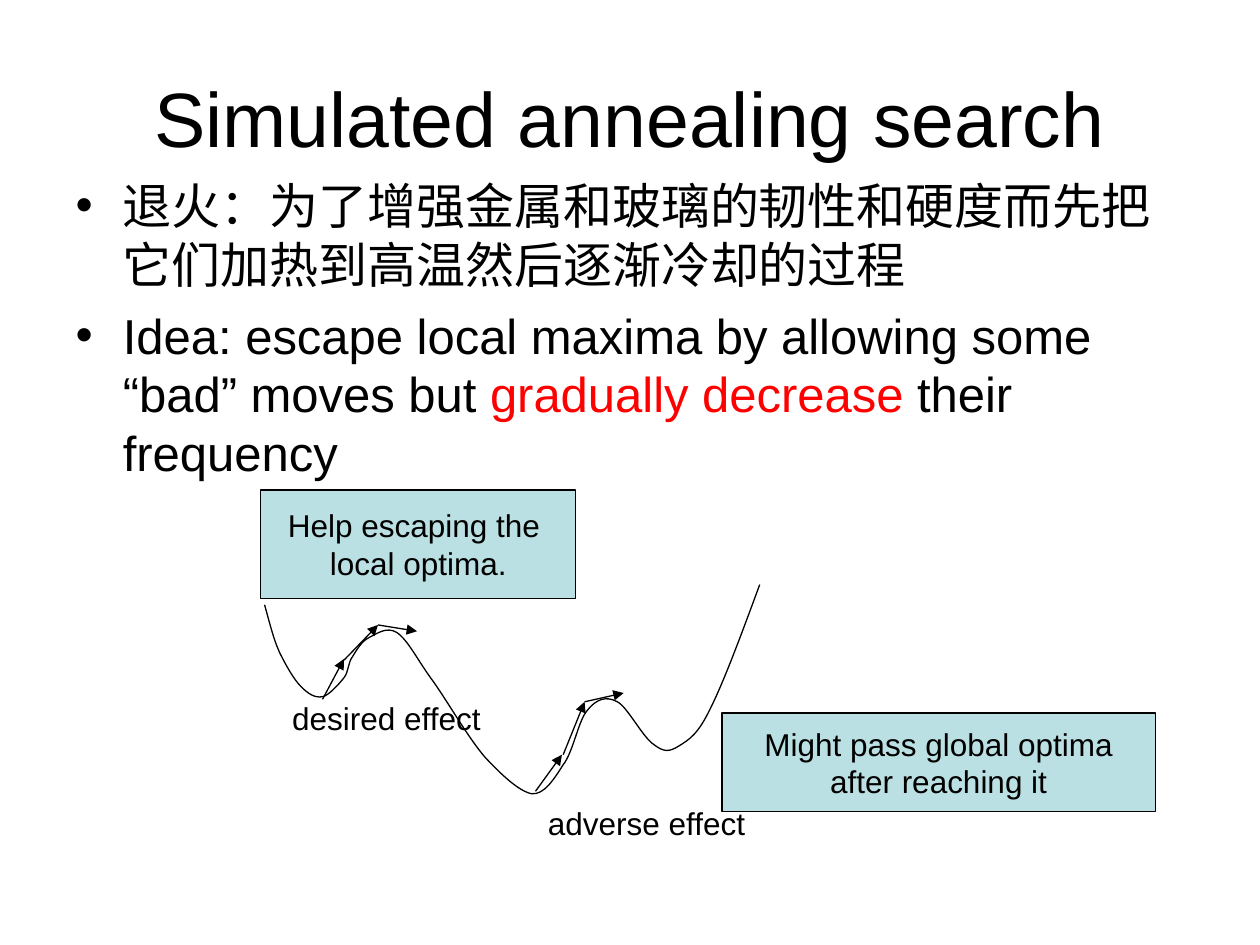
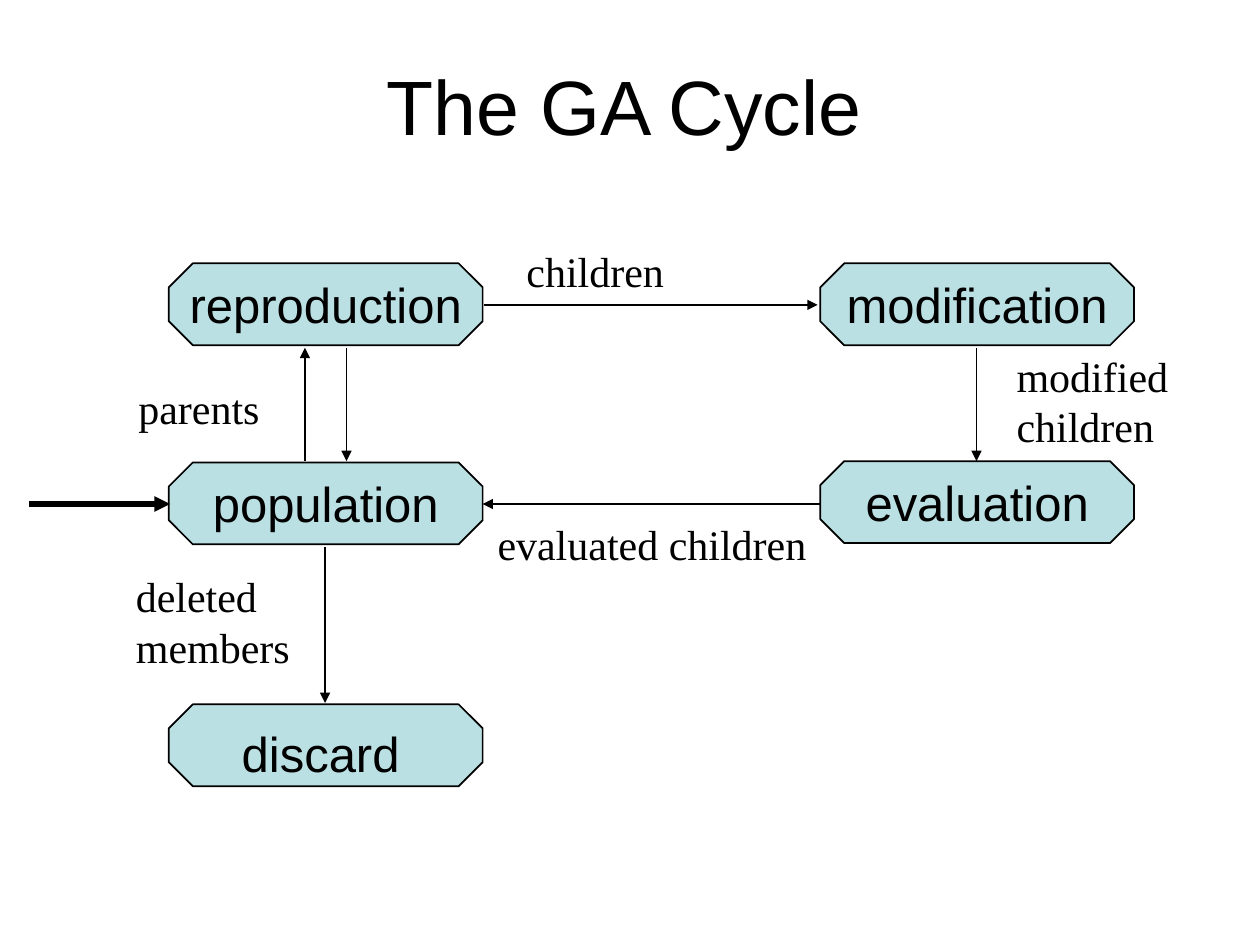
from pptx import Presentation
from pptx.dml.color import RGBColor
from pptx.enum.shapes import MSO_CONNECTOR, MSO_SHAPE
from pptx.enum.text import MSO_ANCHOR, PP_ALIGN
from pptx.oxml.ns import qn
from pptx.util import Emu, Pt
from lxml.etree import SubElement

PX = 9144  # EMU per px, 100 px to the inch
BLACK = RGBColor(0x00, 0x00, 0x00)
RED = RGBColor(0xFF, 0x00, 0x00)
PALE_TEAL = RGBColor(0xBB, 0xE0, 0xE3)

TITLE_FONT = {"name": "Arial", "size": Pt(44)}
LARGE_FONT = {"name": "Arial", "size": Pt(28)}
SMALL_FONT = {"name": "Arial", "size": Pt(18)}
FLOW_FONT = {"name": "Times New Roman", "size": Pt(24)}


def add_text(slide, rect, text, font_format, outline=None, line_width=1):
    """Add a plain label, or a filled box when an outline is given."""
    place = [Emu(v * PX) for v in rect]
    if outline is None:
        holder = slide.shapes.add_textbox(*place)
    else:
        holder = slide.shapes.add_shape(outline, *place)
        holder.shadow.inherit = False
        holder.fill.solid()
        holder.fill.fore_color.rgb = PALE_TEAL
        holder.line.color.rgb = BLACK
        holder.line.width = Pt(line_width)
        holder.text_frame.vertical_anchor = MSO_ANCHOR.MIDDLE
    holder.text_frame.word_wrap = False
    if text:
        holder.text_frame.text = text
    for paragraph in holder.text_frame.paragraphs:
        paragraph.alignment = PP_ALIGN.LEFT if outline is None else PP_ALIGN.CENTER
        paragraph.font.color.rgb = BLACK
        for attribute, value in font_format.items():
            setattr(paragraph.font, attribute, value)
    return holder


def add_arrow(slide, ends, width):
    """Add an arrow pointing at the second end."""
    arrow = slide.shapes.add_connector(MSO_CONNECTOR.STRAIGHT, *[Emu(v * PX) for v in ends])
    arrow.line.color.rgb = BLACK
    arrow.line.width = Pt(width)
    properties = arrow.element.spPr
    SubElement(properties.find(qn("a:ln")), qn("a:tailEnd"), type="triangle")
    SubElement(properties, qn("a:effectLst"))


deck = Presentation()
deck.slide_width, deck.slide_height = Emu(1000 * PX), Emu(750 * PX)
annealing = deck.slides.add_slide(deck.slide_layouts[1])
cycle = deck.slides.add_slide(deck.slide_layouts[5])

# Titles
for slide, heading, rect in [
    (annealing, "Simulated annealing search", (50, 30, 900, 125)),
    (cycle, "The GA Cycle", (42, 25, 907, 116)),
]:
    title = slide.shapes.title
    title.left, title.top, title.width, title.height = [Emu(v * PX) for v in rect]
    title.text_frame.text = heading
    title_font = title.text_frame.paragraphs[0].font
    title_font.color.rgb = BLACK
    for attribute, value in TITLE_FONT.items():
        setattr(title_font, attribute, value)

# Annealing: bullet list
ideas = annealing.placeholders[1]
ideas.left, ideas.top, ideas.width, ideas.height = [Emu(v * PX) for v in (50, 134, 900, 495)]
bullets = [
    [("退火：为了增强金属和玻璃的韧性和硬度而先把它们加热到高温然后逐渐冷却的过程", BLACK)],
    [
        ("Idea: escape local maxima by allowing some “bad” moves but ", BLACK),
        ("gradually decrease", RED),
        (" their frequency", BLACK),
    ],
]
for index, pieces in enumerate(bullets):
    bullet = ideas.text_frame.paragraphs[0] if index == 0 else ideas.text_frame.add_paragraph()
    bullet.space_before = Pt(7 if index else 0)
    for words, colour in pieces:
        run = bullet.add_run()
        run.text = words
        run.font.color.rgb = colour
        for attribute, value in LARGE_FONT.items():
            setattr(run.font, attribute, value)

# Annealing: landscape curve, each row two control points and an end point
landscape_start = (210, 480)
landscape_bends = [
    ((214, 494), (217, 507), (222, 518)),
    ((227, 528), (233, 539), (239, 545)),
    ((245, 551), (250, 554), (256, 553)),
    ((261, 552), (269, 543), (273, 538)),
    ((277, 533), (276, 526), (280, 521)),
    ((283, 516), (287, 509), (293, 506)),
    ((299, 503), (307, 497), (315, 502)),
    ((324, 508), (332, 525), (344, 541)),
    ((356, 558), (372, 586), (385, 601)),
    ((398, 615), (412, 628), (422, 630)),
    ((432, 631), (440, 618), (447, 607)),
    ((455, 597), (459, 572), (466, 564)),
    ((473, 555), (481, 552), (490, 557)),
    ((498, 561), (510, 585), (519, 591)),
    ((527, 597), (531, 597), (539, 592)),
    ((547, 587), (554, 583), (564, 562)),
    ((575, 540), (589, 502), (603, 464)),
]
outline_builder = annealing.shapes.build_freeform(*landscape_start, scale=PX)
outline_builder.add_line_segments([point for bend in landscape_bends for point in bend], close=False)
landscape = outline_builder.convert_to_shape()
landscape.shadow.inherit = False
landscape.fill.background()
landscape.line.color.rgb = BLACK
landscape.line.width = Pt(0.75)

# Turn every three straight steps into one Bézier bend
curve_path = next(landscape.element.iter(qn("a:path")))
straight_steps = curve_path.findall(qn("a:lnTo"))
for first in range(0, len(straight_steps), 3):
    bend = SubElement(curve_path, qn("a:cubicBezTo"))
    for straight_step in straight_steps[first:first + 3]:
        bend.append(straight_step[0])
        curve_path.remove(straight_step)

# Annealing: moves over the two hills
for move in [
    (256, 555, 273, 523),
    (273, 524, 300, 496),
    (300, 496, 331, 501),
    (425, 628, 446, 599),
    (447, 599, 464, 557),
    (464, 557, 495, 550),
]:
    add_arrow(annealing, move, 0.75)

# Annealing: remarks and effect labels
for rect, remark, outline in [
    ((207, 389, 250, 86), "Help escaping the \nlocal optima.", MSO_SHAPE.RECTANGLE),
    ((222, 550, 170, 40), "desired effect", None),
    ((573, 566, 344, 78), "Might pass global optima\n after reaching it ", MSO_SHAPE.RECTANGLE),
    ((425, 633, 177, 40), "adverse effect", None),
]:
    add_text(annealing, rect, remark, SMALL_FONT, outline, 0.75)

# Cycle: stages
for left, top, stage in [
    (134, 209, "reproduction"),
    (134, 367, "population"),
    (651, 366, "evaluation"),
    (651, 209, "modification"),
    (134, 559, None),
]:
    octagon = add_text(cycle, (left, top, 249, 65), stage, LARGE_FONT, MSO_SHAPE.OCTAGON)
    octagon.adjustments[0] = 0.293

# Cycle: flows between stages, the thick one entering from outside
for flow, width in [
    ((384, 242, 649, 242), 1),
    ((242, 366, 242, 276), 1),
    ((275, 276, 275, 366), 1),
    ((258, 434, 258, 558), 1),
    ((651, 400, 383, 400), 1),
    ((775, 276, 775, 366), 1),
    ((23, 400, 135, 400), 3),
]:
    add_arrow(cycle, flow, width)

# Cycle: labels
add_text(cycle, (182, 569, 145, 56), "discard", LARGE_FONT)
for rect, label in [
    ((98, 448, 142, 90), "deleted\nmembers"),
    ((100, 299, 116, 50), "parents"),
    ((408, 190, 129, 50), "children"),
    ((797, 273, 140, 90), "modified\nchildren"),
    ((385, 407, 265, 50), "evaluated children"),
]:
    add_text(cycle, rect, label, FLOW_FONT)

deck.save("out.pptx")
